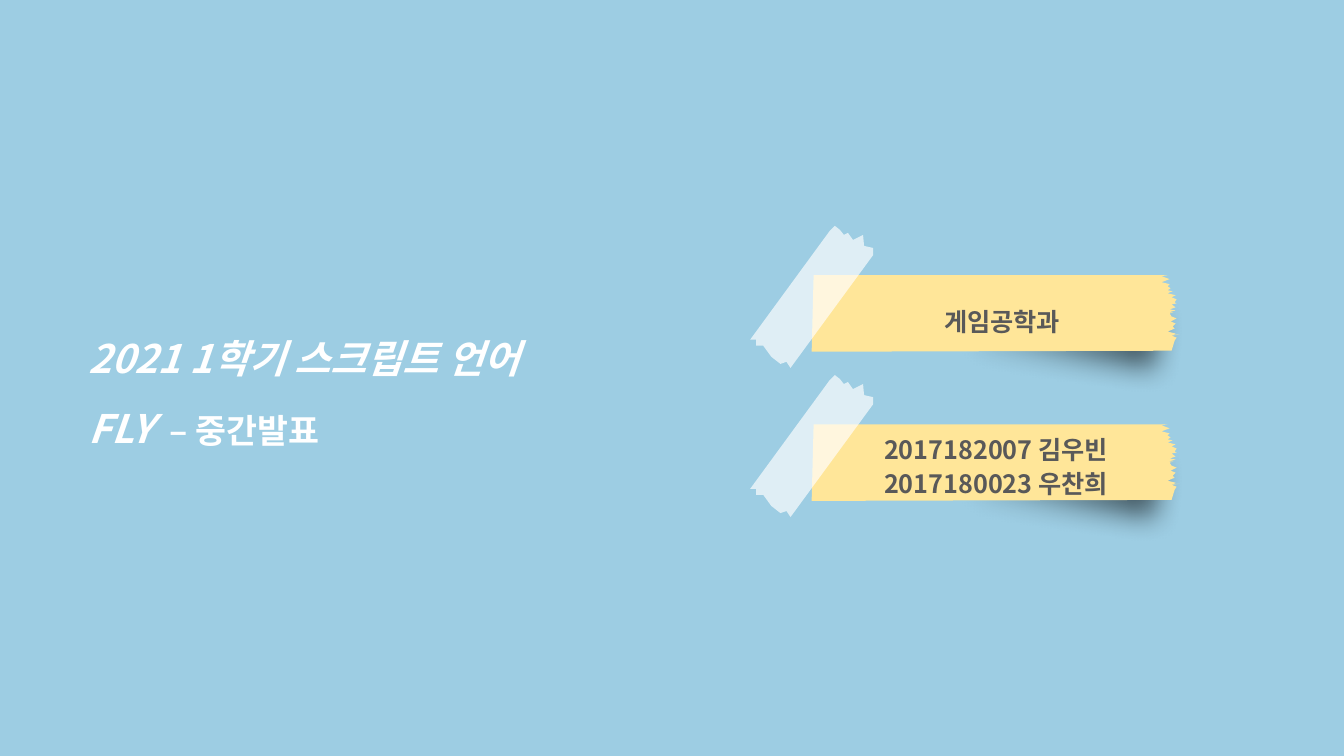
import pptx
import pptx.util
import pptx.oxml
import pptx.oxml.ns
import pptx.dml.color
import pptx.enum.text
from pptx.util import Inches

COLORS = {"sky": "9DCDE3", "note": "FFE699", "tape": "FFFFFF",
          "shade": "000000", "text": "595959", "title": "FFFFFF"}
FONT = "Noto Sans CJK KR"
ALIGN = pptx.enum.text.PP_ALIGN

# Outlines of the first note, in hundredths of an inch on the slide
UNITS = 100
SHADE = [(873, 363), (889, 252), (1182, 289), (1171, 399)]

# Paper: two left corners, then the torn right edge from top to bottom
NOTE_LEFT = [(805, 349), (807, 273)]
NOTE_TOP = 273
# Each tooth: distance right of 11.5 inches, distance below the top
NOTE_TEAR = [(8, 0), (2, 1), (10, 4), (2, 7), (10, 9), (8, 11), (11, 13),
             (8, 15), (13, 16), (8, 18), (16, 20), (12, 22), (17, 24),
             (15, 27), (17, 28), (12, 29), (16, 32), (10, 34), (16, 35),
             (9, 37), (14, 37), (10, 38), (12, 41), (17, 43), (11, 46),
             (16, 48), (13, 51), (15, 53), (8, 56), (16, 58), (14, 59),
             (20, 59), (12, 60), (17, 62), (15, 65), (12, 75)]
NOTE = NOTE_LEFT + [(1150 + x, NOTE_TOP + y) for x, y in NOTE_TEAR]

# Tape: a slanted strip, torn at both ends
TAPE_LOW = [(744, 337), (750, 337), (750, 343), (757, 343), (765, 354),
            (774, 361), (780, 359), (784, 365)]
TAPE_HIGH = [(866, 253), (866, 246), (857, 244), (856, 233), (846, 238),
             (841, 231), (837, 233), (833, 228), (828, 224), (823, 229)]
TAPE = TAPE_LOW + TAPE_HIGH

# Notes from top to bottom: text lines, then their left, top and width
NOTES = [
    (["게임공학과"], 8.73, 2.84, 2.42),
    (["2017182007 김우빈", "2017180023 우찬희"], 8.53, 4.11, 2.7),
]
NOTE_GAP = 1.48
LINE_GAP = 0.34

# Title lines, each a list of runs
TITLE = [
    [("2021 1학기 스크립트 언어", {"size": 28, "italic": True})],
    [("FLY ", {"size": 28, "italic": True}), (" – 중간발표", {"size": 24})],
]


def rgb(name):
    return pptx.dml.color.RGBColor.from_string(COLORS[name])


def xml(tag, body="", **attrs):
    """Make one DrawingML element."""
    text = " ".join(f'{key}="{val}"' for key, val in attrs.items())
    space = pptx.oxml.ns.nsdecls("a")
    return pptx.oxml.parse_xml(f"<a:{tag} {space} {text}>{body}</a:{tag}>")


def find(props, tag):
    return props.find(".//" + pptx.oxml.ns.qn(tag))


def outline(slide, points, drop, color, alpha=100):
    """Draw a closed shape, moved down by drop inches."""
    points = [(x, y + drop * UNITS) for x, y in points]
    pen = slide.shapes.build_freeform(*points[0], scale=Inches(1) / UNITS)
    pen.add_line_segments(points[1:], close=True)
    shape = pen.convert_to_shape()
    shape.shadow.inherit = False
    shape.line.fill.background()
    shape.fill.solid()
    shape.fill.fore_color.rgb = rgb(color)
    if alpha < 100:
        tint = find(shape._element.spPr, "a:srgbClr")
        tint.append(xml("alpha", val=alpha * 1000))
    return shape


def soften(shape, color, stops, blur):
    """Fade a fill from left to right and blur the shape's edge."""
    props = shape._element.spPr
    marks = "".join(
        f'<a:gs pos="{pos * 1000}"><a:srgbClr val="{COLORS[color]}">'
        f'<a:alpha val="{alpha * 1000}"/></a:srgbClr></a:gs>'
        for pos, alpha in stops)
    fade = xml("gradFill", f'<a:gsLst>{marks}</a:gsLst><a:lin ang="0"/>')
    props.replace(find(props, "a:solidFill"), fade)
    edge = xml("softEdge", rad=pptx.util.Pt(blur))
    find(props, "a:effectLst").append(edge)


def note(slide, drop):
    """Draw a paper strip with its shadow and tape."""
    shade = outline(slide, SHADE, drop, "shade")
    soften(shade, "shade", stops=[(0, 0), (20, 0), (100, 73)], blur=20)
    outline(slide, NOTE, drop, "note")
    outline(slide, TAPE, drop, "tape", alpha=68)


def write(para, text, size=18, color="text", bold=True, italic=False):
    run = para.add_run()
    run.text = text
    font = run.font
    font.size, font.bold, font.italic = pptx.util.Pt(size), bold, italic
    font.color.rgb = rgb(color)
    font.name = FONT
    run._r.get_or_add_rPr().append(xml("ea", typeface=FONT))


def place(shape, left, top, width, height):
    """Set a text shape's box and return its frame."""
    shape.left, shape.top = Inches(left), Inches(top)
    shape.width, shape.height = Inches(width), Inches(height)
    frame = shape.text_frame
    frame.word_wrap = True
    frame.auto_size = pptx.enum.text.MSO_AUTO_SIZE.SHAPE_TO_FIT_TEXT
    frame.vertical_anchor = pptx.enum.text.MSO_ANCHOR.TOP
    return frame


def align(para, side):
    para.alignment = side
    para.line_spacing = 1.5


def title(slide):
    frame = place(slide.shapes.title, 0.78, 3.03, 7.33, 1.42)
    for row, runs in enumerate(TITLE):
        para = frame.add_paragraph() if row else frame.paragraphs[0]
        align(para, ALIGN.LEFT)
        for text, style in runs:
            write(para, text, color="title", **style)


def label(slide, text, left, top, width):
    box = slide.shapes.add_textbox(0, 0, 0, 0)
    para = place(box, left, top, width, 0.5).paragraphs[0]
    align(para, ALIGN.CENTER)
    write(para, text)


def main():
    deck = pptx.Presentation()
    deck.slide_width, deck.slide_height = Inches(13.33), Inches(7.5)
    slide = deck.slides.add_slide(deck.slide_layouts[5])
    slide.background.fill.solid()
    slide.background.fill.fore_color.rgb = rgb("sky")
    title(slide)
    for index, (lines, left, top, width) in enumerate(NOTES):
        note(slide, index * NOTE_GAP)
        for row, text in enumerate(lines):
            label(slide, text, left, top + row * LINE_GAP, width)
    deck.save("out.pptx")


if __name__ == "__main__":
    main()
